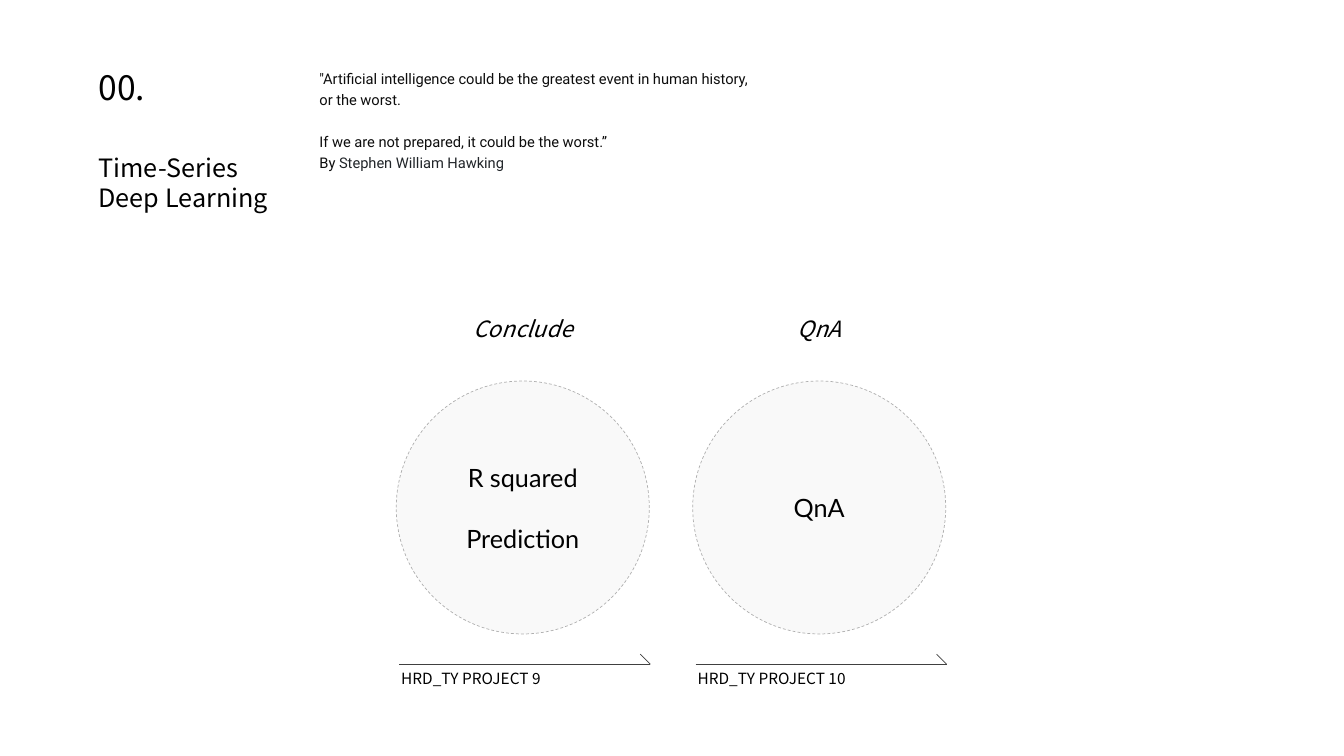
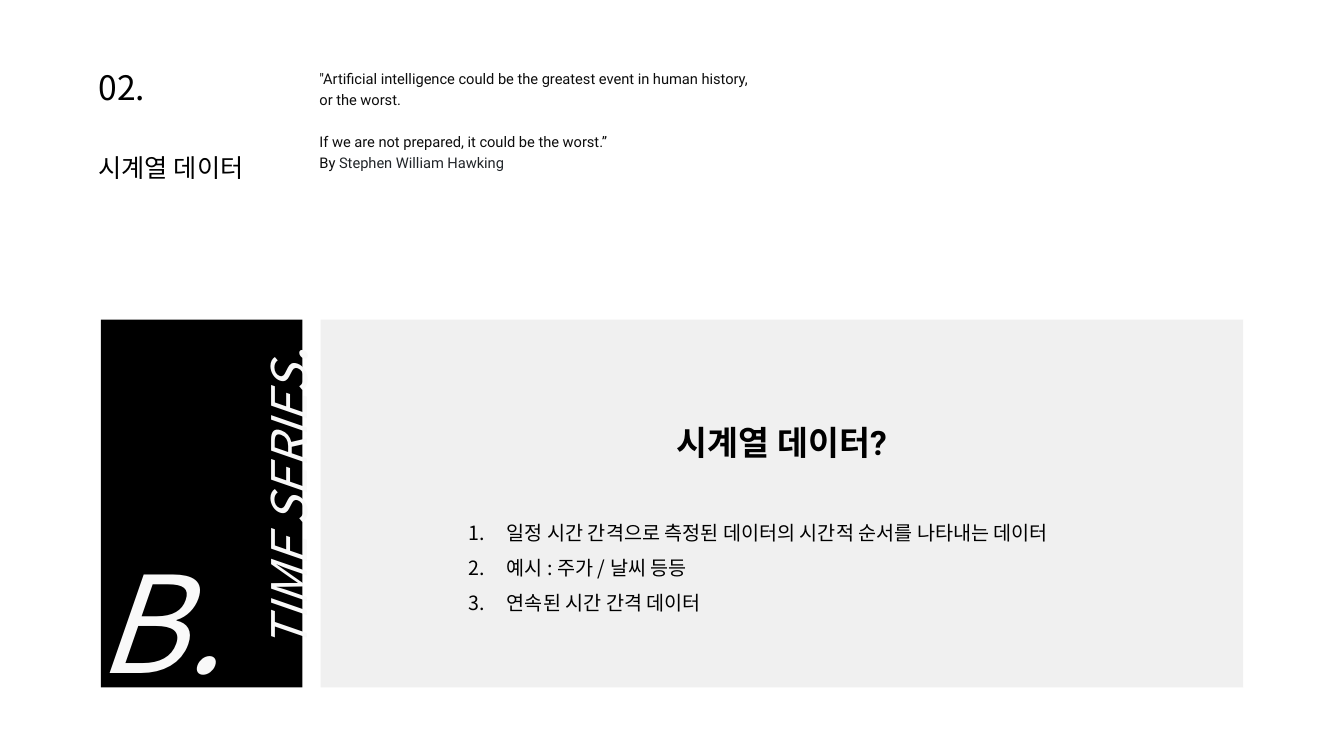
from pptx import Presentation
from pptx import util as u
from pptx.dml.color import RGBColor
from pptx.enum import dml, shapes, text
from pptx.oxml.ns import qn
from lxml import etree

PX = 9144  # EMU per px, 100 px to the inch
BLACK = RGBColor(0x00, 0x00, 0x00)
INK = RGBColor(0x0D, 0x0D, 0x0D)
SLATE = RGBColor(0x21, 0x25, 0x29)
CHARCOAL = RGBColor(0x40, 0x40, 0x40)
GREY = RGBColor(0xE2, 0xE2, 0xE2)
OFF_WHITE = RGBColor(0xF9, 0xF9, 0xF9)
NOTO, ROBOTO, LATO = "Noto Sans CJK KR", "Roboto", "Lato"
LEFT, CENTER = text.PP_ALIGN.LEFT, text.PP_ALIGN.CENTER
JUSTIFY = text.PP_ALIGN.JUSTIFY


def px(value):
    return u.Emu(round(value * PX))


def fade(holder, percent):
    """Set the opacity of the solid fill directly inside holder."""
    color = holder.find(qn("a:solidFill"))[0]
    etree.SubElement(color, qn("a:alpha"), val=str(percent * 1000))


def number(para):
    """Give a paragraph a hanging automatic number."""
    props = para._p.get_or_add_pPr()
    props.set("marL", str(px(38)))
    props.set("indent", str(-px(38)))
    etree.SubElement(props, qn("a:buFont"), typeface="+mj-lt")
    etree.SubElement(props, qn("a:buAutoNum"), type="arabicPeriod")


class Slides:
    def __init__(self):
        self.deck = Presentation()
        self.deck.slide_width, self.deck.slide_height = px(1333), px(750)
        self.slide = None

    def new_slide(self, index, title, title_width):
        self.slide = self.deck.slides.add_slide(self.deck.slide_layouts[6])
        self.text(88, 61, 75, 50, [index], 24)
        self.text(88, 146, title_width, 40 if len(title) == 1 else 71, title, 18)
        quote = self.text(307, 61, 493, 114, [
            '"Artificial intelligence could be the greatest event in human history,',
            "or the worst.",
            "If we are not prepared, it could be the worst.”",
            "By ",
        ], 10.5, font=ROBOTO, color=INK, spacing=1.2)
        paras = quote.text_frame.paragraphs
        paras[2].space_before = u.Pt(15)
        self.run(paras[3], "Stephen William Hawking", 10.5, ROBOTO, SLATE)

    def run(self, para, words, size, font=NOTO, color=BLACK, bold=False, italic=False):
        span = para.add_run()
        span.text = words
        span.font.size, span.font.name = u.Pt(size), font
        span.font.bold, span.font.italic = bold, italic
        span.font.color.rgb = color
        etree.SubElement(span._r.get_or_add_rPr(), qn("a:ea"), typeface=NOTO)

    def add_lines(self, frame, lines, size, align=LEFT, spacing=None, gap=0,
                  numbered=False, **style):
        for i, words in enumerate(lines):
            para = frame.paragraphs[0] if i == 0 else frame.add_paragraph()
            para.alignment = align
            if spacing:
                para.line_spacing = spacing
            if i and gap:
                para.space_before = u.Pt(gap)
            if numbered:
                number(para)
            self.run(para, words, size, **style)

    def text(self, left, top, width, height, lines, size, **style):
        box = self.slide.shapes.add_textbox(px(left), px(top), px(width), px(height))
        box.text_frame.word_wrap = False
        box.text_frame.auto_size = text.MSO_AUTO_SIZE.SHAPE_TO_FIT_TEXT
        self.add_lines(box.text_frame, lines, size, **style)
        return box

    def shape(self, kind, left, top, width, height, color, opacity=100):
        shape = self.slide.shapes.add_shape(kind, px(left), px(top), px(width), px(height))
        shape.shadow.inherit = False
        shape.fill.solid()
        shape.fill.fore_color.rgb = color
        if opacity < 100:
            fade(shape.element.spPr, opacity)
        shape.line.fill.background()
        shape.text_frame.word_wrap = True
        shape.text_frame.vertical_anchor = text.MSO_ANCHOR.MIDDLE
        return shape

    def panel(self, *place):
        return self.shape(shapes.MSO_SHAPE.RECTANGLE, *place)

    def circle(self, left, top, size, lines):
        circle = self.shape(shapes.MSO_SHAPE.OVAL, left, top, size, size, GREY, 20)
        circle.line.color.rgb = BLACK
        circle.line.width = u.Pt(0.5)
        circle.line.dash_style = dml.MSO_LINE.DASH
        fade(circle.element.spPr.find(qn("a:ln")), 30)
        self.add_lines(circle.text_frame, lines, 18, align=CENTER, gap=22, font=LATO)

    def line(self, *ends):
        line = self.slide.shapes.add_connector(
            shapes.MSO_CONNECTOR.STRAIGHT, *(px(end) for end in ends))
        line.line.color.rgb = CHARCOAL
        line.line.width = u.Pt(0.5)
        etree.SubElement(line.element.spPr, qn("a:effectLst"))

    def half_arrow(self, left, top, width):
        right = left + width
        self.line(left, top, right, top)
        self.line(right - 10, top - 10, right, top)

    def topic(self, left, heading, lines, label, label_width):
        """Column with a heading, a circle and an underlined project label."""
        self.text(left + 63, 308, 126, 37, [heading], 16, align=CENTER, italic=True)
        self.circle(left, 378, 251, lines)
        self.half_arrow(left + 3, 659, 249)
        self.text(left - 5, 659, label_width, 29, [label], 11)


def topics_slide(slides):
    slides.new_slide("00.", ["Time-Series", "Deep Learning"], 198)
    topics = [
        ("Conclude", ["R squared", "Prediction"], "HRD_TY PROJECT 9", 171),
        ("QnA", ["QnA"], "HRD_TY PROJECT 10", 181),
    ]
    for i, topic in enumerate(topics):
        slides.topic(393 + 294 * i, *topic)


def time_series_slide(slides):
    slides.new_slide("02.", ["시계열 데이터"], 176)
    slides.panel(100, 317, 200, 365, BLACK)
    question = slides.panel(318, 317, 915, 365, GREY, 50)
    question.text_frame.margin_bottom = px(126)
    slides.add_lines(question.text_frame, ["시계열 데이터?"], 24, align=CENTER,
                     font=ROBOTO, bold=True)
    caption = dict(align=CENTER, color=OFF_WHITE, italic=True)
    side = slides.text(104, 453, 354, 84, ["TIME SERIES"], 35, **caption)
    side.rotation = 270
    slides.run(side.text_frame.paragraphs[0], ".", 44, color=OFF_WHITE, italic=True)
    slides.text(80, 530, 157, 172, ["B."], 96, **caption)
    slides.text(455, 500, 643, 112, [
        "일정 시간 간격으로 측정된 데이터의 시간적 순서를 나타내는 데이터",
        "예시 : 주가 / 날씨 등등",
        "연속된 시간 간격 데이터",
    ], 14, align=JUSTIFY, spacing=1.5, numbered=True)


def main():
    slides = Slides()
    topics_slide(slides)
    time_series_slide(slides)
    slides.deck.save("out.pptx")


if __name__ == "__main__":
    main()
